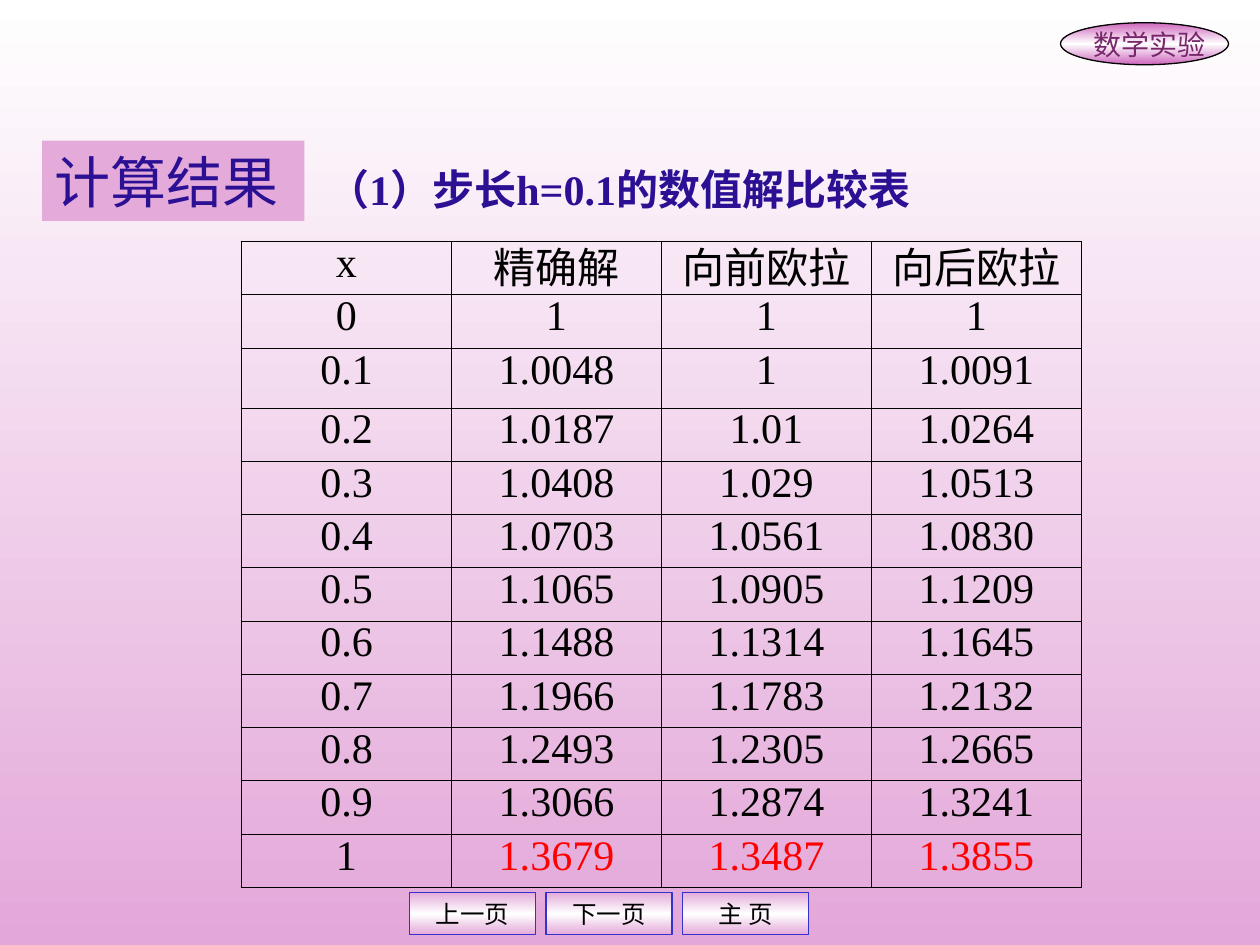
from copy import deepcopy

from lxml.etree import SubElement
from pptx import Presentation
from pptx.dml.color import RGBColor
from pptx.enum.shapes import MSO_SHAPE
from pptx.enum.text import MSO_ANCHOR, MSO_AUTO_SIZE, PP_ALIGN
from pptx.oxml.ns import qn
from pptx.util import Pt

HUES = {
    "ink": "000000", "white": "FFFFFF", "title": "2C1094", "badge": "77276A",
    "pink": "E4AADA", "rose": "CE66BD", "floor": "E3A7D9", "edge": "3333CC",
    "red": "FF0000",
}
HAN = "Noto Sans CJK SC"
ROMAN = "Times New Roman"

HEAD = ["x", "精确解", "向前欧拉", "向后欧拉"]
ROWS = [
    ["0", "1", "1", "1"],
    ["0.1", "1.0048", "1", "1.0091"],
    ["0.2", "1.0187", "1.01", "1.0264"],
    ["0.3", "1.0408", "1.029", "1.0513"],
    ["0.4", "1.0703", "1.0561", "1.0830"],
    ["0.5", "1.1065", "1.0905", "1.1209"],
    ["0.6", "1.1488", "1.1314", "1.1645"],
    ["0.7", "1.1966", "1.1783", "1.2132"],
    ["0.8", "1.2493", "1.2305", "1.2665"],
    ["0.9", "1.3066", "1.2874", "1.3241"],
    ["1", "1.3679", "1.3487", "1.3855"],
]


def hue(name):
    return RGBColor.from_string(HUES[name])


class Deck:
    """Holds the slide and the style of its parts."""

    def __init__(self):
        self.prs = Presentation()
        self.prs.slide_width, self.prs.slide_height = Pt(720), Pt(540)
        self.slide = self.prs.slides.add_slide(self.prs.slide_layouts[5])
        self.shapes = self.slide.shapes
        self.blend(self.slide.background.fill, "white", "floor")

    def blend(self, fill, top, base):
        """Fill with a gradient that runs from top to base."""
        fill.gradient()
        fill.gradient_angle = 270
        for stop, name in zip(fill.gradient_stops, (top, base)):
            stop.color.rgb = hue(name)

    def sheen(self, shape, name):
        """Fill with a gradient that is white halfway down."""
        self.blend(shape.fill, name, "white")
        shape.fill.gradient_stops[1].position = 0.5
        stops = shape.element.xpath(".//a:gsLst")[0]
        last = deepcopy(stops[0])
        last.set("pos", "100000")
        stops.append(last)

    def add_run(self, frame, text, size, color, font=ROMAN, bold=False,
                align=PP_ALIGN.CENTER, lead=1.0):
        para = frame.paragraphs[0]
        para.alignment = align
        para.line_spacing = lead
        para.space_before = Pt(0)
        run = para.add_run()
        run.text = text
        run.font.size = Pt(size)
        run.font.bold = bold
        run.font.name = font
        run.font.color.rgb = hue(color)
        SubElement(run.font._element, qn("a:ea")).set("typeface", HAN)

    def label(self, shape, text, size, color, **style):
        frame = shape.text_frame
        frame.word_wrap = True
        frame.auto_size = MSO_AUTO_SIZE.NONE
        frame.vertical_anchor = MSO_ANCHOR.MIDDLE
        self.add_run(frame, text, size, color, **style)

    def title(self, text, box):
        shape = self.shapes.title
        shape.left, shape.top, shape.width, shape.height = map(Pt, box)
        shape.fill.solid()
        shape.fill.fore_color.rgb = hue("pink")
        self.label(shape, text, 32, "title", align=PP_ALIGN.LEFT)

    def text(self, text, box, size, color, **style):
        shape = self.shapes.add_textbox(*map(Pt, box))
        self.label(shape, text, size, color, **style)

    def shape(self, kind, box, glow, edge):
        shape = self.shapes.add_shape(kind, *map(Pt, box))
        shape.shadow.inherit = False
        self.sheen(shape, glow)
        shape.line.color.rgb = hue(edge)
        shape.line.width = Pt(0.75)
        return shape

    def button(self, text, box):
        shape = self.shape(MSO_SHAPE.RECTANGLE, box, "pink", "edge")
        self.label(shape, text, 14, "ink", font=HAN)

    def border(self, cell, side, width):
        line = SubElement(cell._tc.get_or_add_tcPr(), qn("a:ln" + side))
        line.set("w", str(int(Pt(width))))
        paint = SubElement(line, qn("a:solidFill"))
        SubElement(paint, qn("a:srgbClr")).set("val", HUES["ink"])

    def table(self, data, left, top, wide, high):
        rows, cols = len(data), len(data[0])
        grid = self.shapes.add_table(rows, cols, Pt(left), Pt(top),
                                     Pt(wide * cols), Pt(high * rows)).table
        grid.first_row = grid.horz_banding = False
        for col in grid.columns:
            col.width = Pt(wide)
        for i, row in enumerate(grid.rows):
            row.height = Pt(high)
            for j, cell in enumerate(row.cells):
                outer = {"L": j == 0, "R": j == cols - 1,
                         "T": i == 0, "B": i == rows - 1}
                for side, rim in outer.items():
                    self.border(cell, side, 1.08 if rim else 0.45)
                cell.fill.background()
                if i == 0 and j > 0:  # tall Chinese glyphs need the room
                    cell.margin_top, cell.margin_bottom = Pt(2), Pt(0)
                color = "red" if i == rows - 1 and j > 0 else "ink"
                self.add_run(cell.text_frame, data[i][j], 24, color, lead=0.8)
        return grid


def main():
    deck = Deck()
    for i, name in enumerate(["上一页", "下一页", "主 页"]):
        deck.button(name, (234 + 78 * i, 510, 72, 24.2))
    deck.shape(MSO_SHAPE.OVAL, (606, 13, 96, 24), "rose", "ink")
    deck.text("数学实验", (612, 12, 90, 26.6), 16, "badge", font=HAN)
    grid = deck.table([HEAD] + ROWS, 138, 138, 120, 30.45)
    grid.rows[2].height = Pt(34.2)
    deck.text("（1）步长h=0.1的数值解比较表", (180, 90, 402, 36), 24, "title",
              bold=True, align=PP_ALIGN.LEFT)
    deck.title("计算结果", (24, 80.4, 150, 45.8))
    deck.prs.save("out.pptx")


if __name__ == "__main__":
    main()
